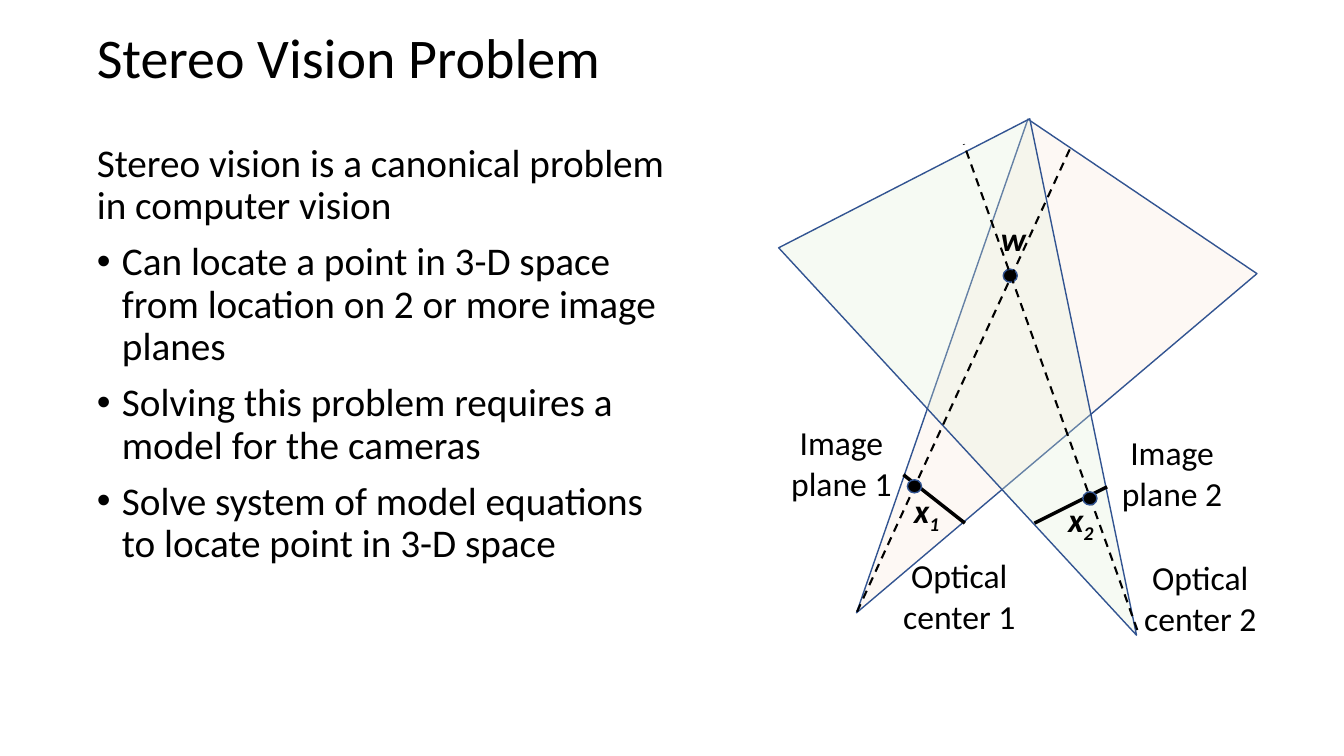
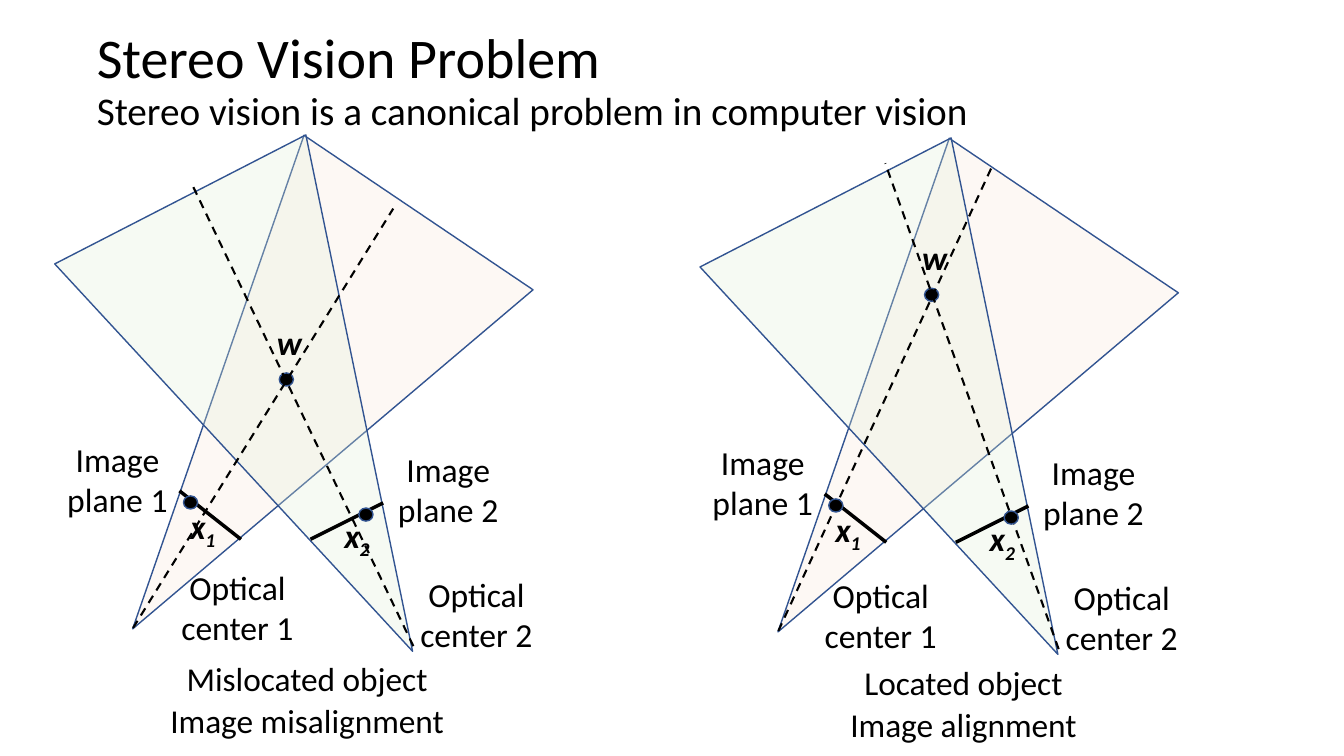
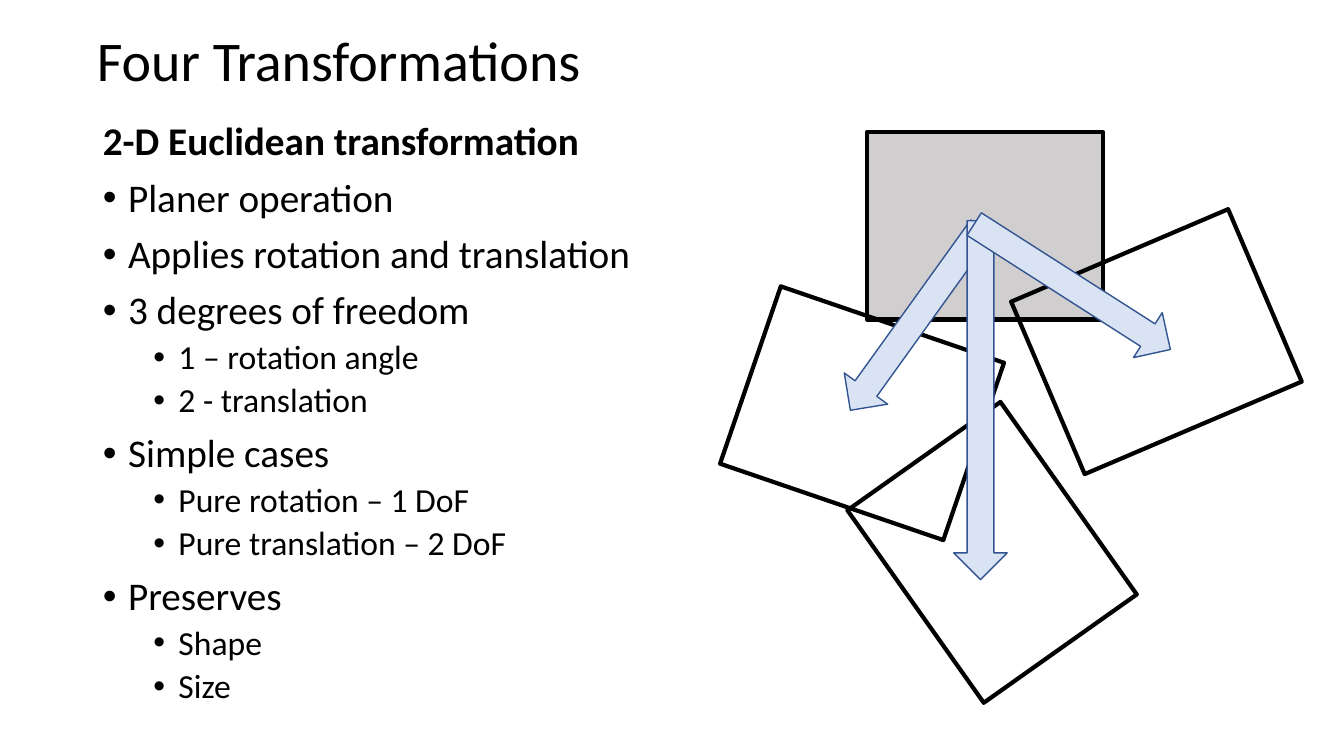
"""Build three slides on stereo vision and planar transformations."""
from dataclasses import dataclass

from lxml import etree
from pptx import Presentation
from pptx import util as u
from pptx.dml.color import RGBColor
from pptx.enum import dml, shapes, text
from pptx.oxml.ns import qn


@dataclass(frozen=True)
class Theme:
    font: str = "Calibri"
    ink: str = "000000"
    outline: str = "325491"
    camera_1: str = "FBE5D6"
    camera_2: str = "E2F0D9"
    source: str = "D0CECE"
    arrow: str = "DAE3F3"
    title: float = 40
    body: float = 28
    label: float = 24
    caption: float = 23.8
    thin: float = 1
    ray: float = 1.5
    plane: float = 2.5
    frame: float = 3


@dataclass(frozen=True)
class Box:
    left: float
    top: float
    width: float
    height: float
    rotation: float = 0

    def shifted(self, dx, dy):
        return Box(self.left + dx, self.top + dy, self.width, self.height, self.rotation)


@dataclass(frozen=True)
class Line:
    start: tuple[float, float]
    end: tuple[float, float]
    width: float
    dash: bool = False


@dataclass(frozen=True)
class Stereo:
    """One stereo rig; offsets move the whole drawing."""
    dx: float = 0
    dy: float = 0
    point: tuple[float, float] = (9.95, 2.67)
    ray_1: tuple[float, float] = (10.62, 1.46)
    ray_2: tuple[float, float] = (9.56, 1.43)
    center_1: tuple[float, float] = (8.66, 5.46)
    caption: tuple[str, ...] = ()
    caption_at: tuple[float, float] = (0, 0)


@dataclass(frozen=True)
class Item:
    text: str
    level: int = 0
    bullet: bool = True
    bold: bool = False


T = Theme()
TITLE_BOX = Box(0.86, 0.12, 11.5, 0.95)
OPTIC_1, OPTIC_2 = (8.5, 6.07), (11.28, 6.25)
DOT = (0.14, 0.13)
SYMBOL = (0.58, 0.5)
LABEL = (1.71, 0.91)
FRAME = (2.34, 1.86)
ARROW_WIDTH = 0.53
INTRO = Item("Stereo vision is a canonical problem in computer vision", bullet=False)


def write(tf, content, *, size, bold=False, italic=False, align=text.PP_ALIGN.LEFT,
          line=1.0, before=0, level=0, bullet=False, sub=""):
    """Add one formatted paragraph, with an optional subscript."""
    p = tf.paragraphs[0] if not tf.text else tf.add_paragraph()
    p.alignment, p.level, p.line_spacing = align, level, line
    p.space_before = u.Pt(before)
    pPr = p._p.get_or_add_pPr()
    indent = u.Inches(0.25) if bullet else 0
    pPr.set("marL", str(u.Inches(0.25 + 0.5 * level) if bullet else 0))
    pPr.set("indent", str(-indent))
    if bullet:
        etree.SubElement(pPr, qn("a:buFont")).set("typeface", "Arial")
        etree.SubElement(pPr, qn("a:buChar")).set("char", "•")
    else:
        etree.SubElement(pPr, qn("a:buNone"))
    for part in filter(None, (content, sub)):
        r = p.add_run()
        r.text = part
        r.font.name, r.font.size = T.font, u.Pt(size)
        r.font.bold, r.font.italic = bold, italic
        r.font.color.rgb = RGBColor.from_string(T.ink)
        if part is sub:
            r._r.get_or_add_rPr().set("baseline", "-25000")


def place(s, box: Box):
    """Move and size a shape."""
    s.left, s.top = u.Inches(box.left), u.Inches(box.top)
    s.width, s.height = u.Inches(box.width), u.Inches(box.height)


def add_label(slide, box: Box, *lines: str, **fmt):
    """Add a wrapped, centred text box."""
    tf = slide.shapes.add_textbox(*map(u.Inches, (box.left, box.top, box.width, box.height))).text_frame
    tf.word_wrap = True
    for content in lines:
        write(tf, content, align=text.PP_ALIGN.CENTER, **fmt)


def add_shape(slide, kind, box: Box, fill=None, alpha=100, line=T.outline, width=T.thin):
    """Add an outlined preset shape, filled if a colour is given."""
    s = slide.shapes.add_shape(kind, *map(u.Inches, (box.left, box.top, box.width, box.height)))
    s.rotation, s.shadow.inherit = box.rotation, False
    if fill:
        s.fill.solid()
        s.fill.fore_color.rgb = RGBColor.from_string(fill)
        if alpha < 100:
            clr = s._element.spPr.find(qn("a:solidFill")).find(qn("a:srgbClr"))
            etree.SubElement(clr, qn("a:alpha")).set("val", str(alpha * 1000))
    else:
        s.fill.background()
    s.line.color.rgb = RGBColor.from_string(line)
    s.line.width = u.Pt(width)
    return s


def add_line(slide, ln: Line, dx: float, dy: float):
    """Add a straight line moved by an offset."""
    ends = [u.Inches(v + d) for v, d in zip((*ln.start, *ln.end), (dx, dy, dx, dy))]
    s = slide.shapes.add_connector(shapes.MSO_CONNECTOR.STRAIGHT, *ends)
    s.line.color.rgb = RGBColor.from_string(T.ink)
    s.line.width = u.Pt(ln.width)
    if ln.dash:
        s.line.dash_style = dml.MSO_LINE.DASH
    etree.SubElement(s._element.spPr, qn("a:effectLst"))


def add_slide(prs, title: str, items: list[Item], body: Box, title_box: Box = TITLE_BOX):
    """Add a slide with a title and a list in its placeholders."""
    slide = prs.slides.add_slide(prs.slide_layouts[1])
    head, content = slide.shapes.title, slide.placeholders[1]
    for s, box, anchor in ((head, title_box, text.MSO_ANCHOR.MIDDLE), (content, body, text.MSO_ANCHOR.TOP)):
        place(s, box)
        s.text_frame.word_wrap = True
        s.text_frame.auto_size = text.MSO_AUTO_SIZE.NONE
        s.text_frame.vertical_anchor = anchor
    write(head.text_frame, title, size=T.title, line=0.9)
    for item in items:
        write(content.text_frame, item.text, size=T.label if item.level else T.body,
              bold=item.bold, line=0.9, before=5 if item.level else 10,
              level=item.level, bullet=item.bullet)
    return slide


def add_stereo(slide, rig: Stereo):
    """Draw two viewing cones, their image planes, rays and labels."""
    def at(point, size, rotation=0):
        return Box(*point, *size, rotation).shifted(rig.dx, rig.dy)

    def dot(point):
        add_shape(slide, shapes.MSO_SHAPE.OVAL, at(point, DOT), T.ink)

    def symbol(point, letter, sub=""):
        add_label(slide, at(point, SYMBOL), letter, sub=sub, size=T.label, bold=True, italic=True)

    triangle = shapes.MSO_SHAPE.ISOSCELES_TRIANGLE
    cone = add_shape(slide, triangle, at((8.56, 1.52), (2.74, 5.01), 214), T.camera_1, 25)
    cone.adjustments[0] = 0.515
    add_shape(slide, triangle, at((8.72, 1.54), (2.8, 5.04), 152.8), T.camera_2, 29)
    dot(rig.point)
    symbol((rig.point[0] - 0.19, rig.point[1] - 0.56), "w")
    for ln in (Line((8.96, 4.71), (9.57, 5.19), T.plane),
               Line((10.26, 5.19), (10.98, 4.83), T.plane),
               Line(OPTIC_1, rig.ray_1, T.ray, True),
               Line(OPTIC_2, rig.ray_2, T.ray, True)):
        add_line(slide, ln, rig.dx, rig.dy)
    for point in ((9, 4.76), (10.74, 4.88)):
        dot(point)
    symbol((8.9, 4.81), "x", "1")
    symbol((10.43, 4.9), "x", "2")
    for content, point in (("Image plane 2", (10.77, 4.24)), ("Image plane 1", (7.49, 4.14)),
                           ("Optical center 2", (11.05, 5.48)), ("Optical center 1", rig.center_1)):
        add_label(slide, at(point, LABEL), content, size=T.label)
    if rig.caption:
        add_label(slide, Box(*rig.caption_at, 4.29, 0.85), *rig.caption,
                  size=T.caption, line=0.7, before=10)


def add_transformations(slide):
    """Draw the source frame, its moved copies and the motion arrows."""
    for left, top, rotation, fill in ((8.6, 1.31, 0, T.source), (10.3, 2.46, 336.9, None),
                                      (8.67, 4.55, 54.7, None), (7.38, 3.17, 18.9, None)):
        add_shape(slide, shapes.MSO_SHAPE.RECTANGLE, Box(left, top, *FRAME, rotation),
                  fill, line=T.ink, width=T.frame)
    for left, top, length, rotation in ((8.82, 2.05, 2.23, 35.7), (9.46, 2.19, 3.56, 0),
                                        (10.37, 1.69, 2.31, 302.6)):
        add_shape(slide, shapes.MSO_SHAPE.DOWN_ARROW,
                  Box(left, top, ARROW_WIDTH, length, rotation), T.arrow)


def main():
    """Build and save the presentation."""
    prs = Presentation()
    prs.slide_width, prs.slide_height = u.Inches(13.33), u.Inches(7.5)

    problem = add_slide(prs, "Stereo Vision Problem", [
        INTRO,
        Item("Can locate a point in 3-D space from location on 2 or more image planes"),
        Item("Solving this problem requires a model for the cameras"),
        Item("Solve system of model equations to locate point in 3-D space"),
    ], Box(0.86, 1.37, 6.01, 5.69))
    add_stereo(problem, Stereo())

    alignment = add_slide(prs, "Stereo Vision Problem", [INTRO], Box(0.86, 0.86, 11.5, 0.63))
    add_stereo(alignment, Stereo(
        -7.18, 0.16, point=(9.95, 3.54), ray_1=(11.08, 1.91), ray_2=(9.09, 1.68),
        center_1=(8.68, 5.41), caption=("Mislocated object", "Image misalignment"),
        caption_at=(0.9, 6.59)))
    add_stereo(alignment, Stereo(
        -0.78, 0.19, caption=("Located object", "Image alignment"), caption_at=(7.41, 6.63)))

    transformations = add_slide(prs, "Four Transformations", [
        Item("2-D Euclidean transformation", bullet=False, bold=True),
        Item("Planer operation"),
        Item("Applies rotation and translation"),
        Item("3 degrees of freedom"),
        Item("1 – rotation angle", 1),
        Item("2 - translation", 1),
        Item("Simple cases"),
        Item("Pure rotation – 1 DoF", 1),
        Item("Pure translation – 2 DoF", 1),
        Item("Preserves"),
        Item("Shape", 1),
        Item("Size", 1),
    ], Box(0.92, 1.16, 5.66, 5.9), TITLE_BOX.shifted(0, 0.03))
    add_transformations(transformations)
    prs.save("out.pptx")


if __name__ == "__main__":
    main()
